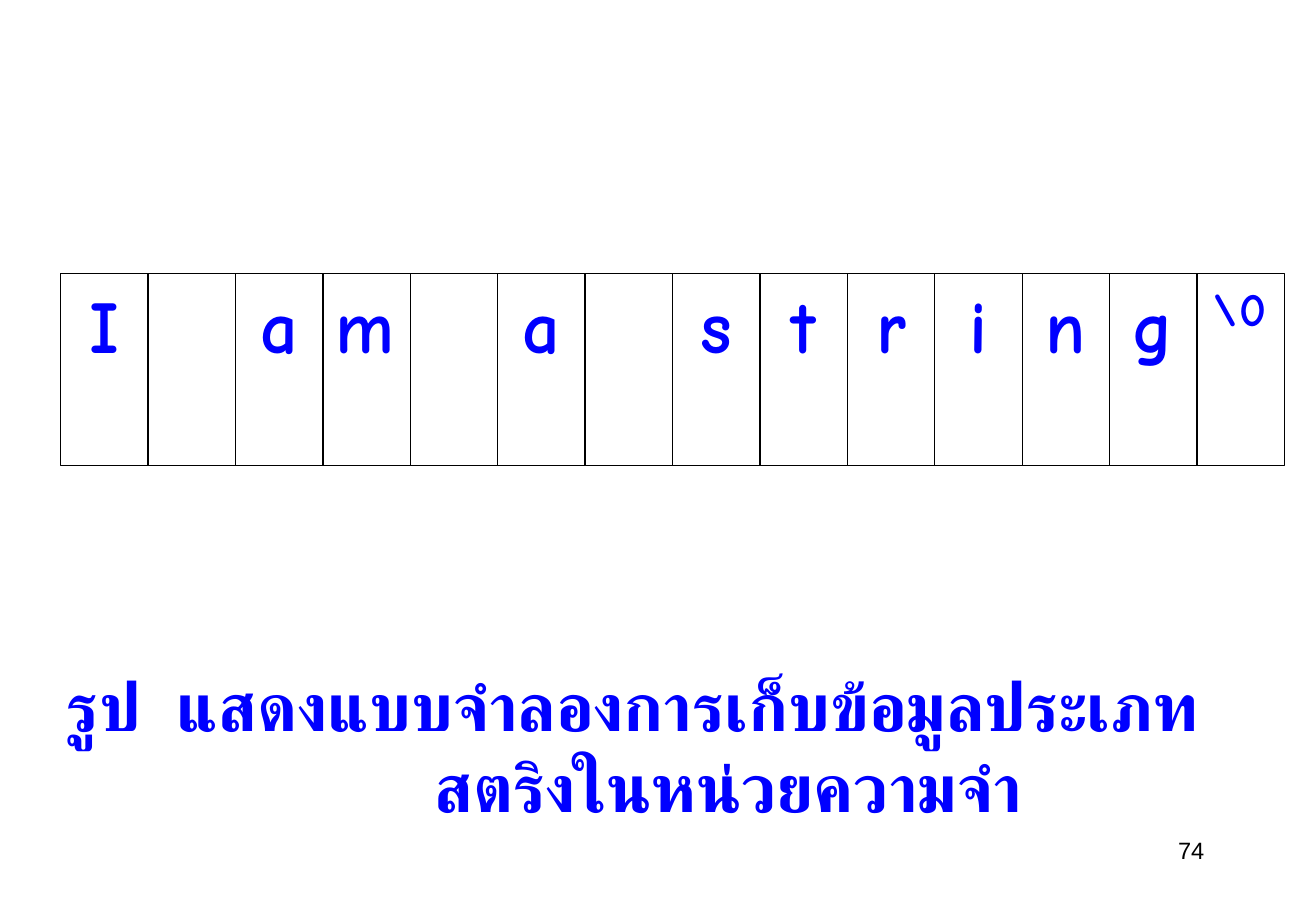
from pptx import Presentation
from pptx.dml.color import RGBColor
from pptx.enum.shapes import MSO_SHAPE
from pptx.enum.text import MSO_ANCHOR, PP_ALIGN
from pptx.util import Inches, Pt

STRING_CELLS = ["I", "", "a", "m", "", "a", "", "s", "t", "r", "i", "n", "g", "\\0"]
CAPTION_LABEL = "รูป"
CAPTION_LINES = ["แสดงแบบจำลองการเก็บข้อมูลประเภท", "สตริงในหน่วยความจำ"]
PAGE_NUMBER = "74"
COLORS = {"text": "0000FF", "cell": "FFFFFF", "border": "000000", "number": "000000"}
ROW_LEFT, ROW_TOP, ROW_WIDTH, CELL_HEIGHT = 0.5, 2.25, 10.08, 1.58
LETTER_SIZE, TERMINATOR_SIZE = 44, 28
CAPTION_INDENT = 3.03


def color(name):
    """Return the named colour."""
    return RGBColor.from_string(COLORS[name])


def add_run(paragraph, text, size, font_name, color_name, bold=True):
    """Add one formatted run to a paragraph."""
    run = paragraph.add_run()
    run.text = text
    run.font.size = Pt(size)
    run.font.name = font_name
    run.font.bold = bold
    run.font.color.rgb = color(color_name)
    return run


def add_text_box(slide, left, top, width, height, alignment):
    """Add a wrapping text box and return its first paragraph."""
    frame = slide.shapes.add_textbox(
        Inches(left), Inches(top), Inches(width), Inches(height)).text_frame
    frame.word_wrap = True
    paragraph = frame.paragraphs[0]
    paragraph.alignment = alignment
    return paragraph


def add_memory_row(slide):
    """Draw the string as a row of equal memory cells."""
    row = slide.shapes.add_group_shape()
    cell_width = ROW_WIDTH / len(STRING_CELLS)
    for index, character in enumerate(STRING_CELLS):
        cell = row.shapes.add_shape(
            MSO_SHAPE.RECTANGLE, Inches(ROW_LEFT + index * cell_width),
            Inches(ROW_TOP), Inches(cell_width), Inches(CELL_HEIGHT))
        cell.shadow.inherit = False
        cell.fill.solid()
        cell.fill.fore_color.rgb = color("cell")
        cell.line.color.rgb = color("border")
        cell.line.width = Pt(0.75)
        if character:
            frame = cell.text_frame
            frame.vertical_anchor = MSO_ANCHOR.TOP
            frame.word_wrap = True
            frame.margin_left = Inches(0.08 if character in ("m", "\\0") else 0.1)
            paragraph = frame.paragraphs[0]
            paragraph.alignment = PP_ALIGN.CENTER
            size = LETTER_SIZE if len(character) == 1 else TERMINATOR_SIZE
            add_run(paragraph, character, size, "Comic Neue", "text")


def add_caption(slide):
    """Add the caption with its second line hanging."""
    paragraph = add_text_box(slide, 0.45, 5.42, 10.08, 1.44, PP_ALIGN.LEFT)
    paragraph.space_before = Pt(25)
    properties = paragraph._p.get_or_add_pPr()
    properties.set("marL", str(Inches(CAPTION_INDENT)))
    properties.set("indent", str(-Inches(CAPTION_INDENT)))
    add_run(paragraph, CAPTION_LABEL, 40, "Lato", "text")
    gap = add_run(paragraph, " ", 40, "Lato", "text")
    gap.font._element.set("spc", "1000")
    add_run(paragraph, CAPTION_LINES[0], 40, "Lato", "text")
    paragraph.add_line_break()
    add_run(paragraph, CAPTION_LINES[1], 40, "Lato", "text")


def main():
    """Build and save the slide."""
    presentation = Presentation()
    presentation.slide_width = Inches(10.84)
    presentation.slide_height = Inches(7.5)
    slide = presentation.slides.add_slide(presentation.slide_layouts[6])
    number = add_text_box(slide, 7.76, 6.83, 2.26, 0.5, PP_ALIGN.RIGHT)
    add_run(number, PAGE_NUMBER, 14, "Arial", "number", bold=False)
    add_caption(slide)
    add_memory_row(slide)
    presentation.save("out.pptx")


if __name__ == "__main__":
    main()
